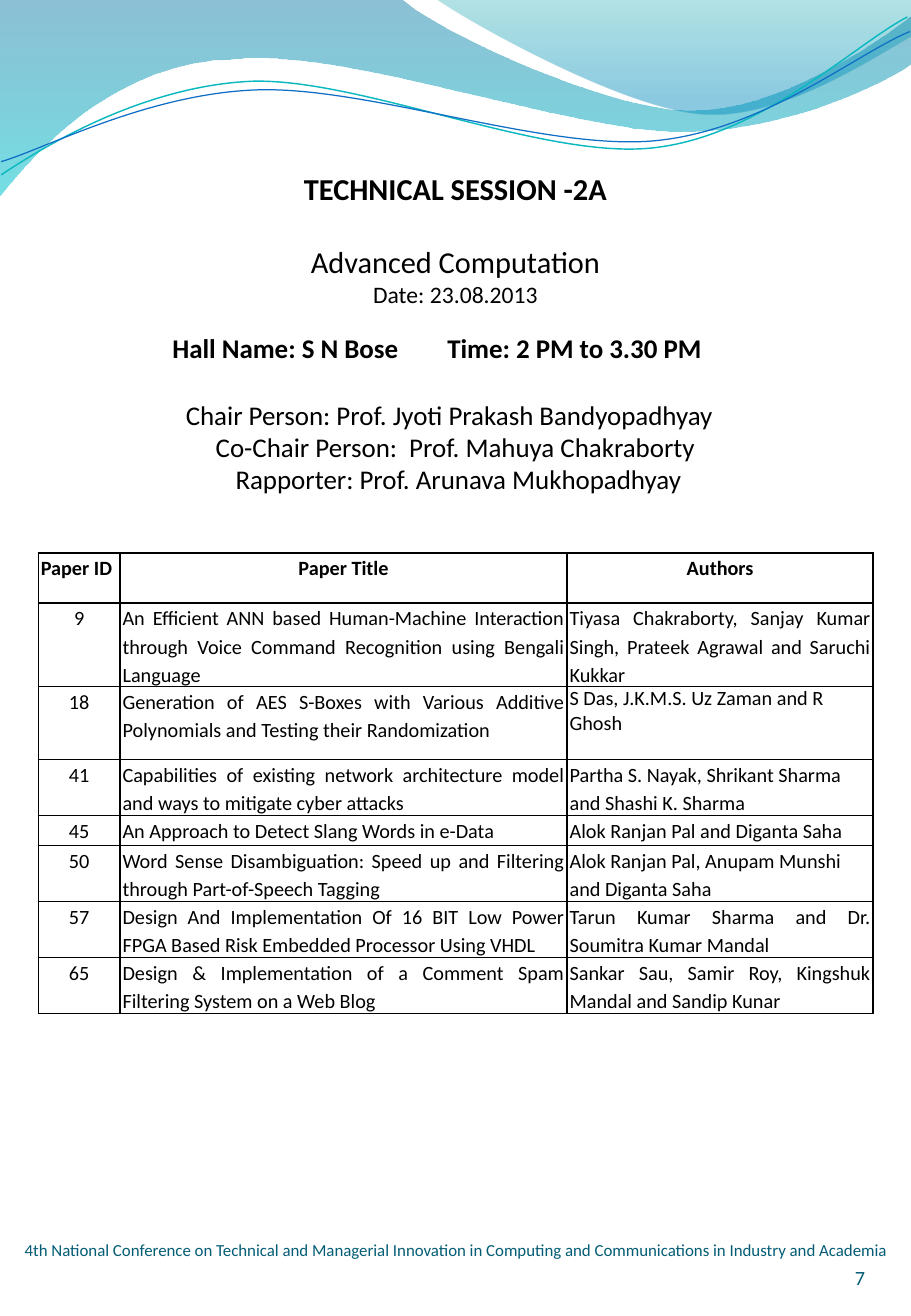
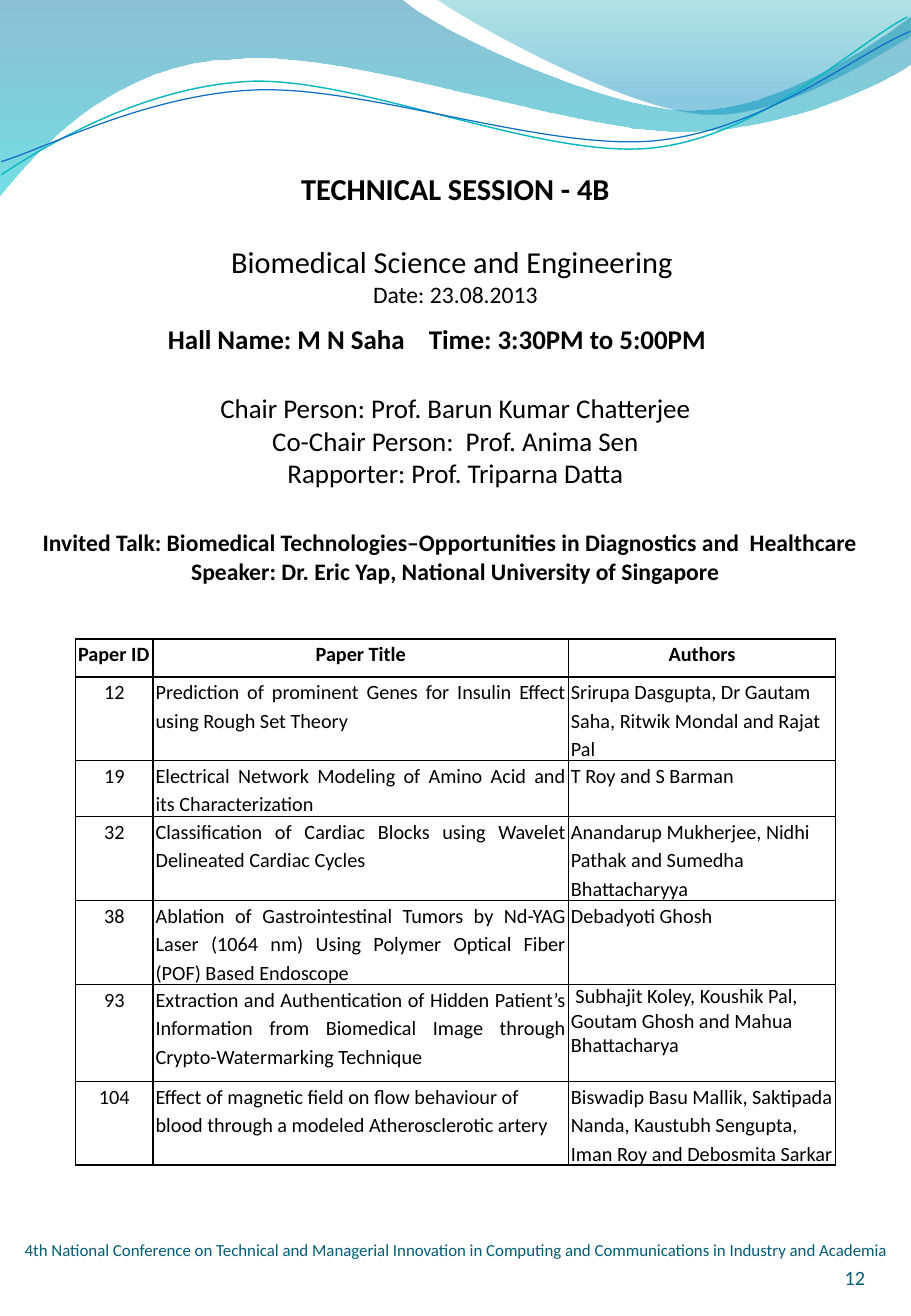
from dataclasses import dataclass, field
from typing import Any, Optional

from lxml import etree
from pptx import Presentation, util as u
from pptx.dml.color import RGBColor
from pptx.enum import shapes, text
from pptx.oxml.ns import qn

ALIGN = text.PP_ALIGN
ANCHOR = text.MSO_ANCHOR


@dataclass(frozen=True)
class Theme:
    font: str = "Calibri"
    ink: str = "000000"
    footer: str = "045D75"
    heading_size: float = 18
    people_size: float = 16
    date_size: float = 14
    table_size: float = 12
    footer_size: float = 10
    row_spacing: float = 1.15
    border: float = 1
    page_width: float = 540
    page_height: float = 780
    footer_text: str = (
        "4th National Conference on Technical and Managerial Innovation in "
        "Computing and Communications in Industry and Academia"
    )


THEME = Theme()


@dataclass(frozen=True)
class Wave:
    start: tuple[float, float]
    legs: list[tuple[float, ...]]
    stops: list[tuple[float, str, int]] = field(default_factory=list)
    stroke: str = ""
    width: float = 0


@dataclass(frozen=True)
class Line:
    words: str
    size: float
    bold: bool = False
    before: float = 0
    color: str = THEME.ink


@dataclass(frozen=True)
class Box:
    left: float
    top: float
    width: float
    height: float


@dataclass(frozen=True)
class Paper:
    number: str
    title: str
    authors: str
    height: float
    authors_align: Any = ALIGN.LEFT
    title_align: Any = ALIGN.JUSTIFY
    authors_spacing: Optional[float] = THEME.row_spacing


@dataclass(frozen=True)
class Session:
    page: str
    name: str
    topic: str
    date: str
    hall: str
    hall_left: float
    time: str
    time_offset: float
    hall_top: float
    people: list[str]
    people_top: float
    table_at: tuple[float, float]
    columns: list[float]
    header_height: float
    papers: list[Paper]
    talk: list[str] = field(default_factory=list)


WAVES = [
    Wave((0, -0.7), [(237.6, -0.7), (257, 17.3, 358.6, 65.5, 409.7, 65.5),
                     (460.8, 65.5, 517.7, 26.6, 540, 9.4), (540.7, 37.4),
                     (531.4, 45.4, 469.4, 78.5, 402.5, 78.5),
                     (335.5, 77.8, 205.9, 28.8, 139, 35.3),
                     (69.8, 36.7, 24.5, 86.4, -0.7, 117.4)],
         stops=[(0, "0074A1", 45), (1, "00C6CF", 55)]),
    Wave((258.5, -0.7), [(275, 11.5, 367.9, 64.1, 415.4, 67.7),
                         (462.2, 72, 519.1, 33.1, 540, 21.6), (540, 0)],
         stops=[(0, "00A1A9", 30), (0.8, "008BBF", 45)]),
    Wave((0.7, 103.7), [(26.6, 86.4, 85, 51.1, 149, 48.2),
                        (213.1, 46.1, 321.1, 94.3, 385.9, 87.8),
                        (450.7, 81.4, 506.2, 26.6, 537.8, 10.1)],
         stroke="0AB8BF", width=0.85),
    Wave((0.7, 95.8), [(25.9, 88.6, 87.8, 55.4, 152.6, 53.3),
                       (217.4, 51.1, 323.3, 89.3, 387.4, 83.5),
                       (452.2, 77.8, 507.6, 31.7, 539.3, 18.7)],
         stroke="0F6FC6", width=0.75),
]

SESSIONS = [
    Session(
        "7", "TECHNICAL SESSION -2A", "Advanced Computation", "Date: 23.08.2013",
        "Hall Name: S N Bose", 102.2, "Time: 2 PM to 3.30 PM", 163, 193,
        ["Chair Person: Prof. Jyoti Prakash Bandyopadhyay  ",
         "Co-Chair Person:  Prof. Mahuya Chakraborty",
         " Rapporter: Prof. Arunava Mukhopadhyay"], 232.4,
        (22.7, 327.8), [48.5, 265, 181.4], 29.5,
        [
            Paper("9", "An Efficient ANN based Human-Machine Interaction through Voice Command "
                  "Recognition using Bengali Language",
                  "Tiyasa Chakraborty, Sanjay Kumar Singh, Prateek Agrawal and Saruchi Kukkar",
                  49.5, ALIGN.JUSTIFY),
            Paper("18", "Generation of AES S-Boxes with Various Additive Polynomials and Testing "
                  "their Randomization", "S Das, J.K.M.S. Uz Zaman and R Ghosh",
                  43.2, authors_spacing=None),
            Paper("41", "Capabilities of existing network architecture model and ways to mitigate "
                  "cyber attacks", "Partha S. Nayak, Shrikant Sharma and Shashi K. Sharma", 33.2),
            Paper("45", "An Approach to Detect Slang Words in e-Data",
                  "Alok Ranjan Pal and Diganta Saha", 17.8, ALIGN.JUSTIFY),
            Paper("50", "Word Sense Disambiguation: Speed up and Filtering through Part-of-Speech "
                  "Tagging", "Alok Ranjan Pal, Anupam Munshi and Diganta Saha", 33.2),
            Paper("57", "Design And Implementation Of 16 BIT Low Power FPGA Based Risk Embedded "
                  "Processor Using VHDL", "Tarun Kumar Sharma and Dr. Soumitra Kumar Mandal",
                  33.2, ALIGN.JUSTIFY),
            Paper("65", "Design & Implementation of a Comment Spam Filtering System on a Web Blog",
                  "Sankar Sau, Samir Roy, Kingshuk Mandal and Sandip Kunar",
                  33.2, ALIGN.JUSTIFY),
        ],
    ),
    Session(
        "12", "TECHNICAL SESSION - 4B", "Biomedical Science and Engineering ",
        "Date: 23.08.2013",
        "Hall Name: M N Saha", 99.6, "Time: 3:30PM to 5:00PM", 154.6, 187.6,
        ["Chair Person: Prof. Barun Kumar Chatterjee",
         "Co-Chair Person:  Prof. Anima Sen",
         "Rapporter: Prof. Triparna Datta"], 228.8,
        (44.8, 378.7), [46, 246.2, 158.4], 22.5,
        [
            Paper("12", "Prediction of prominent Genes for Insulin Effect using Rough Set Theory",
                  "Srirupa Dasgupta, Dr Gautam Saha, Ritwik Mondal and Rajat Pal", 49.5),
            Paper("19", "Electrical Network Modeling of Amino Acid and its Characterization",
                  "T Roy and S Barman", 33.2, ALIGN.JUSTIFY),
            Paper("32", "Classification of Cardiac Blocks using Wavelet Delineated Cardiac Cycles",
                  "Anandarup Mukherjee, Nidhi Pathak and Sumedha Bhattacharyya", 49.5),
            Paper("38", "Ablation of Gastrointestinal Tumors by Nd-YAG Laser (1064 nm) Using "
                  "Polymer Optical Fiber (POF) Based Endoscope", "Debadyoti Ghosh", 49.5),
            Paper("93", "Extraction and Authentication of Hidden Patient’s Information from "
                  "Biomedical Image through Crypto-Watermarking Technique",
                  " Subhajit Koley, Koushik Pal, Goutam Ghosh and Mahua Bhattacharya",
                  57.5, authors_spacing=None),
            Paper("104", "Effect of magnetic field on flow behaviour of blood through a modeled "
                  "Atherosclerotic artery",
                  "Biswadip Basu Mallik, Saktipada Nanda, Kaustubh Sengupta, Iman Roy and "
                  "Debosmita Sarkar", 49.5, title_align=ALIGN.LEFT),
        ],
        ["Invited Talk: Biomedical Technologies–Opportunities in Diagnostics and  Healthcare  ",
         "Speaker: Dr. Eric Yap, National University of Singapore"],
    ),
]


def apply(target: Any, values: dict[str, Any]) -> None:
    for name, value in values.items():
        setattr(target, name, value)


def place(target: Any, box: Box) -> None:
    apply(target, {side: u.Pt(getattr(box, side)) for side in ("left", "top", "width", "height")})


def draw_wave(slide: Any, wave: Wave) -> Any:
    corners = [(leg[i], leg[i + 1]) for leg in wave.legs for i in range(0, len(leg), 2)]
    builder = slide.shapes.build_freeform(*map(u.Pt, wave.start), scale=1.0)
    builder.add_line_segments([(u.Pt(x), u.Pt(y)) for x, y in corners], close=bool(wave.stops))
    ribbon = builder.convert_to_shape()
    segments = iter(list(ribbon.element.iter(qn("a:lnTo"))))
    for leg in wave.legs:
        first = next(segments)
        if len(leg) == 6:
            curve = etree.Element(qn("a:cubicBezTo"))
            first.addprevious(curve)
            for segment in (first, next(segments), next(segments)):
                curve.append(segment[0])
                segment.getparent().remove(segment)
    ribbon.shadow.inherit = False
    if not wave.stops:
        ribbon.fill.background()
        ribbon.line.color.rgb = RGBColor.from_string(wave.stroke)
        ribbon.line.width = u.Pt(wave.width)
        return ribbon
    ribbon.line.fill.background()
    ribbon.fill.gradient()
    ribbon.fill.gradient_angle = 270
    for stop, (position, color, _) in zip(ribbon.fill.gradient_stops, wave.stops):
        stop.position = position
        stop.color.rgb = RGBColor.from_string(color)
    for color, (_, _, opacity) in zip(ribbon.element.iter(qn("a:srgbClr")), wave.stops):
        etree.SubElement(color, qn("a:alpha"), val=str(opacity * 1000))
    return ribbon


def decorate(layout: Any, slide: Any) -> None:
    for holder in list(layout.placeholders):
        if holder.placeholder_format.type != shapes.PP_PLACEHOLDER.TITLE:
            holder.element.getparent().remove(holder.element)
    for ribbon in [draw_wave(slide, wave) for wave in WAVES]:
        layout.shapes.element.append(ribbon.element)


def write(frame: Any, lines: list[Line], align: Any, spacing: Optional[float] = None) -> None:
    for index, line in enumerate(lines):
        paragraph = frame.paragraphs[0] if index == 0 else frame.add_paragraph()
        apply(paragraph, {"alignment": align, "line_spacing": spacing,
                          "space_before": u.Pt(line.before)})
        run = paragraph.add_run()
        run.text = line.words
        apply(run.font, {"name": THEME.font, "size": u.Pt(line.size), "bold": line.bold})
        run.font.color.rgb = RGBColor.from_string(line.color)


def add_lines(slide: Any, box: Box, lines: list[Line], align: Any = ALIGN.CENTER,
              **layout: Any) -> Any:
    label = slide.shapes.add_textbox(0, 0, 0, 0)
    place(label, box)
    apply(label.text_frame, {"word_wrap": True, **layout})
    write(label.text_frame, lines, align)
    return label


def add_heading(slide: Any, session: Session) -> None:
    title = slide.shapes.title
    place(title, Box(0, 97.2, THEME.page_width, 90))
    apply(title.text_frame, {"word_wrap": True, "vertical_anchor": ANCHOR.TOP,
                             "auto_size": text.MSO_AUTO_SIZE.NONE})
    write(title.text_frame, [
        Line(session.name, THEME.heading_size, True),
        Line(session.topic, THEME.heading_size, before=22),
        Line(session.date, THEME.date_size),
    ], ALIGN.CENTER)


def add_hall(slide: Any, session: Session) -> None:
    hall = add_lines(slide, Box(0, session.hall_top, THEME.page_width, 26.6),
                     [Line(f"{session.hall}\t{session.time}", THEME.people_size, True)],
                     ALIGN.LEFT, margin_left=u.Pt(session.hall_left))
    for properties in hall.element.iter(qn("a:pPr")):
        tabs = etree.SubElement(properties, qn("a:tabLst"))
        etree.SubElement(tabs, qn("a:tab"), pos=str(u.Pt(session.time_offset)), algn="l")


def add_papers(slide: Any, session: Session) -> None:
    heights = [session.header_height] + [paper.height for paper in session.papers]
    place_at = Box(*session.table_at, sum(session.columns), sum(heights))
    frame = slide.shapes.add_table(len(heights), len(session.columns), 0, 0, 0, 0)
    place(frame, place_at)
    table = frame.table
    apply(table, {"first_row": False, "horz_banding": False})
    for column, width in zip(table.columns, session.columns):
        column.width = u.Pt(width)
    for row, height in zip(table.rows, heights):
        row.height = u.Pt(height)
    even = THEME.row_spacing
    rows = [[("Paper ID", ALIGN.JUSTIFY, even), ("Paper Title", ALIGN.CENTER, even),
             ("Authors", ALIGN.CENTER, even)]]
    rows += [[(paper.number, ALIGN.CENTER, even), (paper.title, paper.title_align, even),
              (paper.authors, paper.authors_align, paper.authors_spacing)]
             for paper in session.papers]
    for r, entries in enumerate(rows):
        for c, (words, align, spacing) in enumerate(entries):
            cell = table.cell(r, c)
            apply(cell, {"margin_left": u.Pt(1.5), "margin_right": u.Pt(1.5),
                         "margin_top": 0, "margin_bottom": 0})
            cell.fill.background()
            write(cell.text_frame, [Line(words, THEME.table_size, r == 0)], align, spacing)
    for properties in frame.element.iter(qn("a:tcPr")):
        for index, side in enumerate(("a:lnL", "a:lnR", "a:lnT", "a:lnB")):
            edge = etree.Element(qn(side), w=str(u.Pt(THEME.border)))
            fill = etree.SubElement(edge, qn("a:solidFill"))
            etree.SubElement(fill, qn("a:srgbClr"), val=THEME.ink)
            properties.insert(index, edge)


def add_footer(slide: Any, page: str) -> None:
    flush = {f"margin_{side}": 0 for side in ("left", "top", "right", "bottom")}
    for box, words, size, align in (
        (Box(0, 705, THEME.page_width, 41.8), THEME.footer_text, THEME.footer_size, ALIGN.CENTER),
        (Box(468, 722.8, 44.8, 41.8), page, THEME.table_size, ALIGN.RIGHT),
    ):
        add_lines(slide, box, [Line(words, size, color=THEME.footer)], align,
                  vertical_anchor=ANCHOR.BOTTOM, **flush)


def add_session(slide: Any, session: Session) -> None:
    add_footer(slide, session.page)
    add_heading(slide, session)
    add_hall(slide, session)
    add_lines(slide, Box(0, session.people_top, THEME.page_width, 65.5),
              [Line(person, THEME.people_size) for person in session.people])
    if session.talk:
        add_lines(slide, Box(0, 309.6, THEME.page_width, 41),
                  [Line(words, THEME.date_size, True) for words in session.talk])
    add_papers(slide, session)


def main() -> None:
    deck = Presentation()
    apply(deck, {"slide_width": u.Pt(THEME.page_width), "slide_height": u.Pt(THEME.page_height)})
    title_only = deck.slide_layouts.get_by_name("Title Only")
    pages = [deck.slides.add_slide(title_only) for _ in SESSIONS]
    decorate(title_only, pages[0])
    for page, session in zip(pages, SESSIONS):
        add_session(page, session)
    deck.save("out.pptx")


if __name__ == "__main__":
    main()
